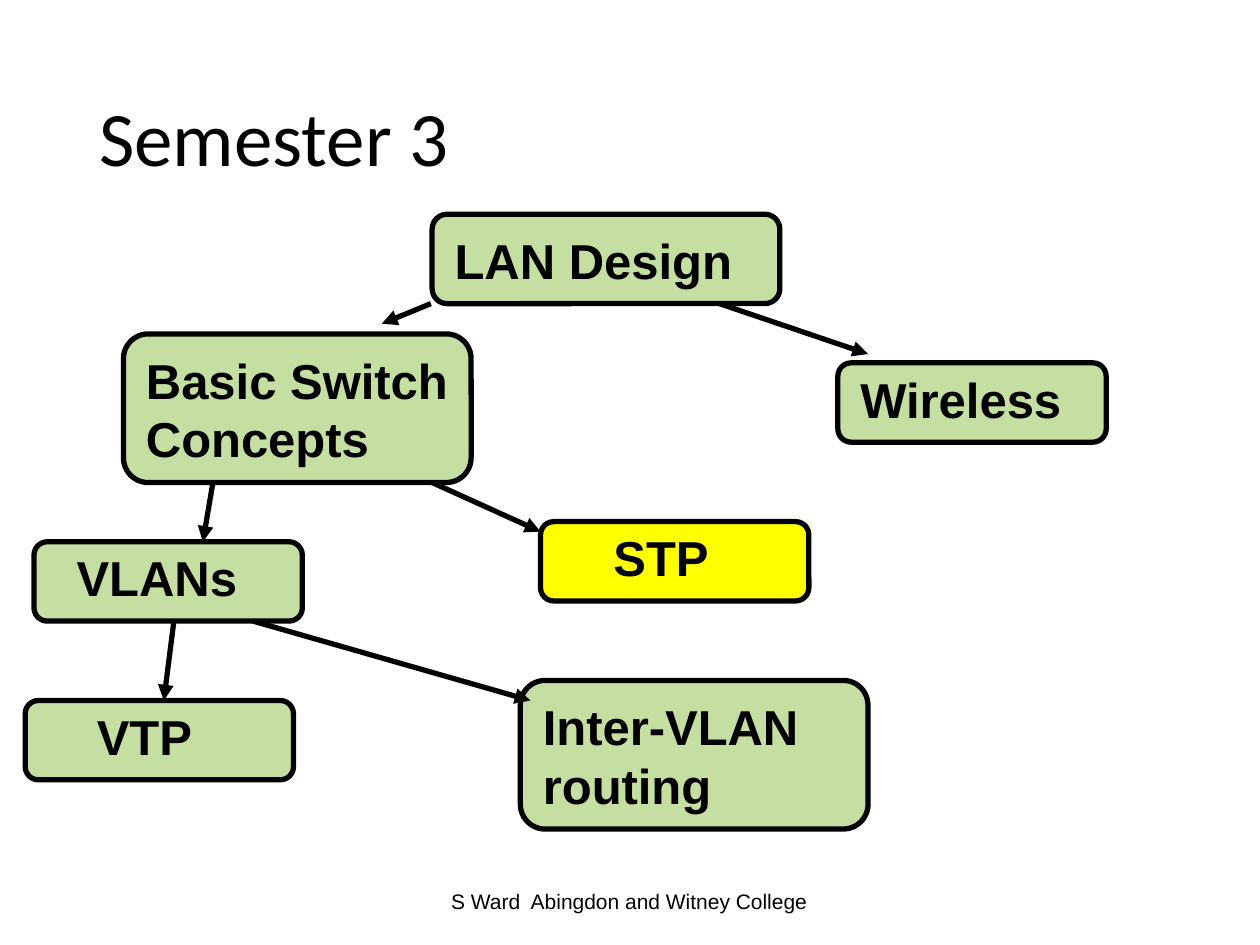
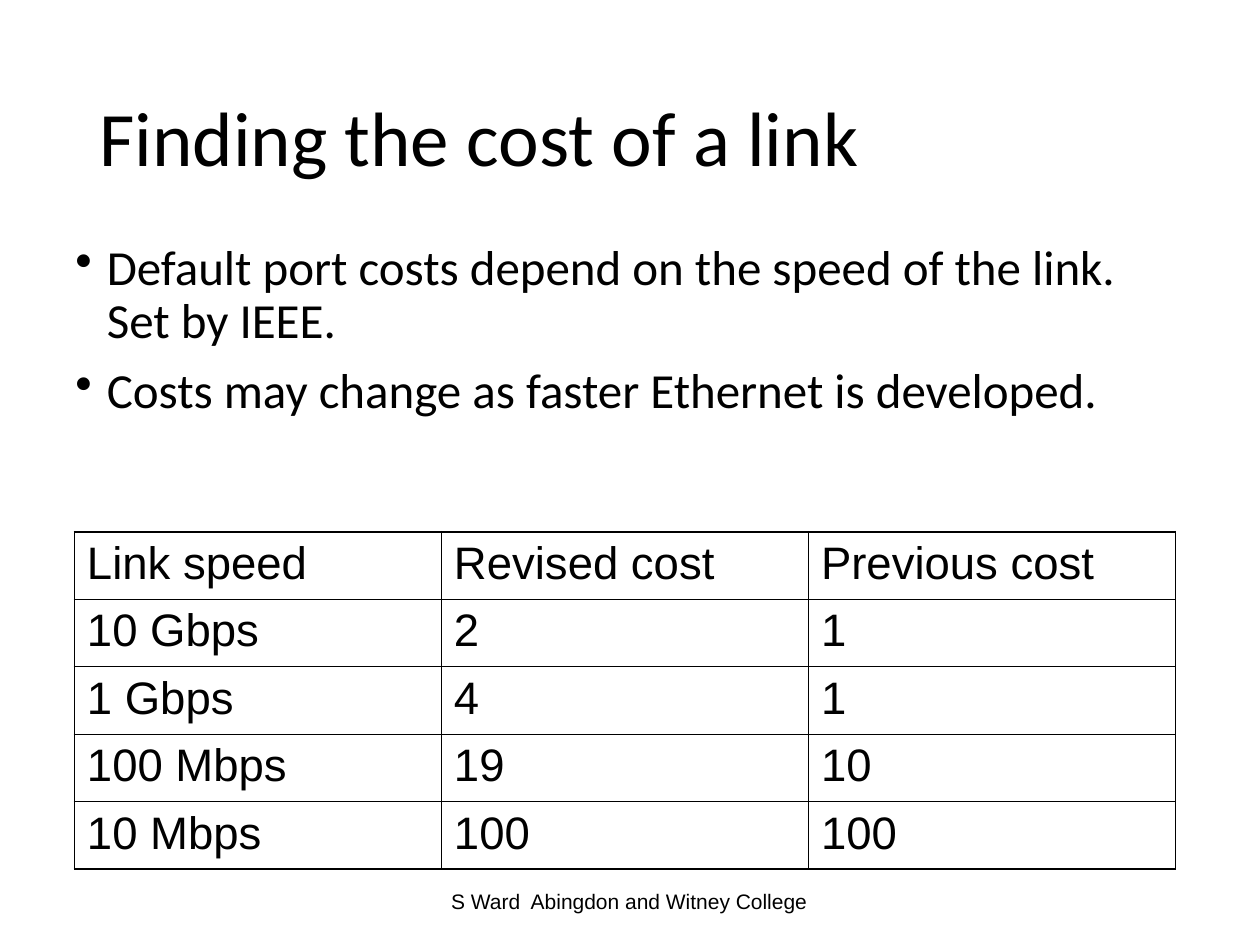
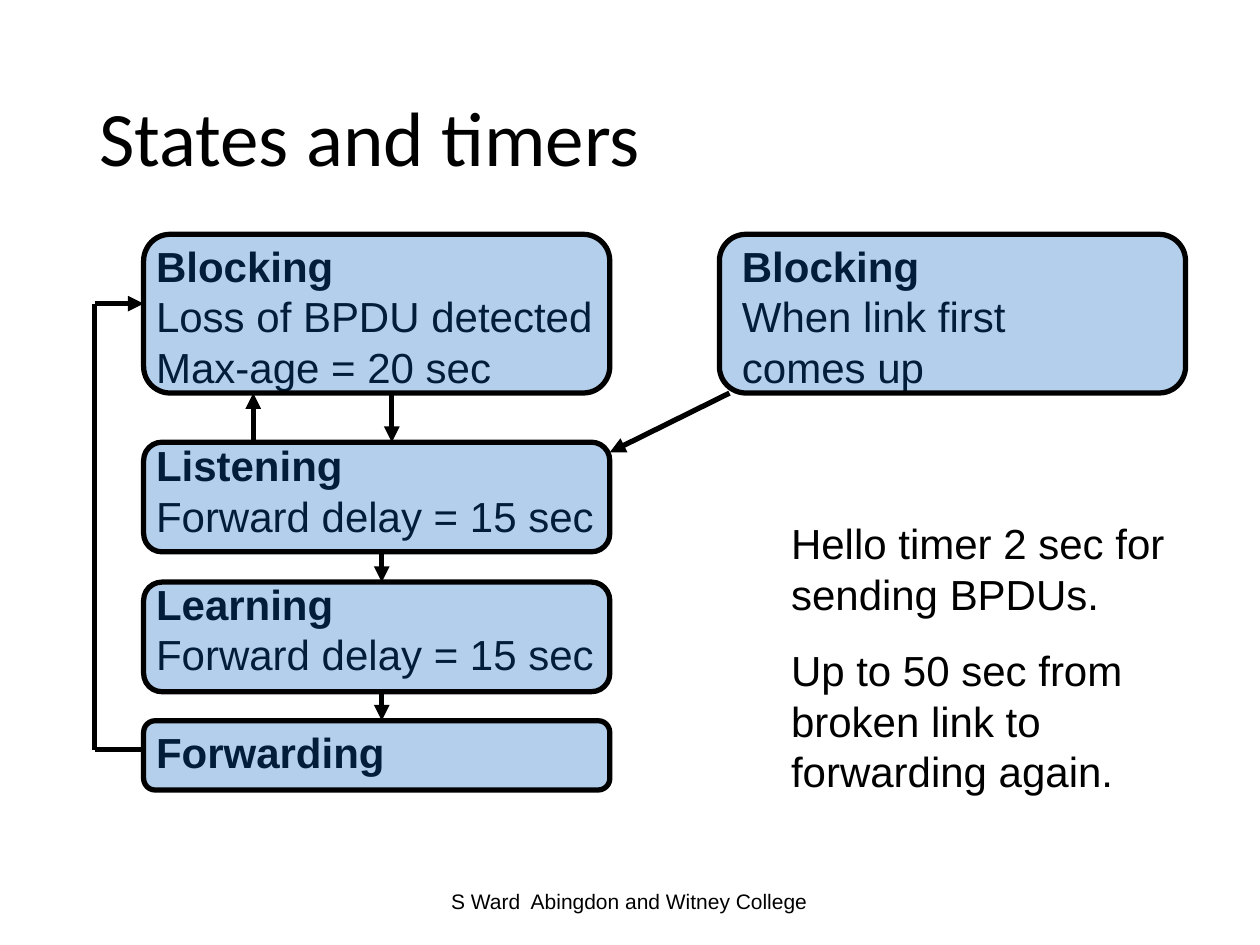
from dataclasses import dataclass

from lxml import etree
from pptx import Presentation
from pptx.dml.color import RGBColor
from pptx.enum.shapes import MSO_CONNECTOR, MSO_SHAPE
from pptx.enum.text import MSO_ANCHOR, PP_ALIGN
from pptx.oxml.ns import qn
from pptx.util import Inches, Pt


@dataclass(frozen=True)
class Theme:
    ink: str = "000000"
    paper: str = "FFFFFF"
    topic: str = "8BC145"
    current: str = "FFFF00"
    state: str = "0563C1"
    head_font: str = "Calibri"
    text_font: str = "Arial"
    title: int = 44
    body: int = 28
    table: int = 26
    state_text: int = 24
    footer: int = 12
    line: float = 3
    outer_border: float = 1.08
    inner_border: float = 0.45


T = Theme()
FOOTER = "S Ward  Abingdon and Witney College"


def sub(parent, tag, **attrs):
    return etree.SubElement(parent, qn(tag), attrs)


def style(p, size, font=T.text_font, bold=False):
    p.font.name, p.font.size, p.font.bold = font, Pt(size), bold
    p.font.color.rgb = RGBColor.from_string(T.ink)


def add_text(s, box, paragraphs, size, font=T.text_font, bold=False,
             anchor=MSO_ANCHOR.TOP, gap=0):
    tf = s.shapes.add_textbox(*map(Inches, box)).text_frame
    tf.word_wrap = True
    tf.vertical_anchor = anchor
    for i, text in enumerate(paragraphs):
        p = tf.add_paragraph() if i else tf.paragraphs[0]
        p.text = text
        if i:
            p.space_before = Pt(gap)
        style(p, size, font, bold)
    return tf


def add_bullets(s, box, items):
    tf = add_text(s, box, items, T.body, T.head_font, gap=10)
    for p in tf.paragraphs:
        p.line_spacing = 0.9
        pPr = p._p.get_or_add_pPr()
        pPr.set("marL", str(Inches(0.25)))
        pPr.set("indent", str(-Inches(0.25)))
        bullet = etree.Element(qn("a:buChar"), char="•")
        pPr.find(qn("a:defRPr")).addprevious(bullet)


def add_round_box(s, box, color, opacity=100):
    sp = s.shapes.add_shape(MSO_SHAPE.ROUNDED_RECTANGLE, *map(Inches, box))
    sp.shadow.inherit = False
    sp.adjustments[0] = 0.167
    sp.fill.solid()
    sp.fill.fore_color.rgb = RGBColor.from_string(color)
    if opacity < 100:
        clr = sp._element.spPr.find(qn("a:solidFill"))[0]
        sub(clr, "a:alpha", val=str(opacity * 1000))
    sp.line.color.rgb = RGBColor.from_string(T.ink)
    sp.line.width = Pt(T.line)


def add_line(s, start, end, arrow=True):
    cx = s.shapes.add_connector(MSO_CONNECTOR.STRAIGHT, *map(Inches, start + end))
    cx.line.color.rgb = RGBColor.from_string(T.ink)
    cx.line.width = Pt(T.line)
    if arrow:
        sub(cx.line._get_or_add_ln(), "a:tailEnd", type="triangle")
    sub(cx._element.spPr, "a:effectLst")


def add_border(cell, side, width):
    ln = sub(cell._tc.get_or_add_tcPr(), f"a:ln{side}", w=str(Pt(width)))
    sub(sub(ln, "a:solidFill"), "a:srgbClr", val=T.ink)


def add_grid(s, box, rows):
    n_rows, n_cols = len(rows), len(rows[0])
    table = s.shapes.add_table(n_rows, n_cols, *map(Inches, box)).table
    table.first_row = table.horz_banding = False
    for i, row in enumerate(rows):
        for j, text in enumerate(row):
            cell = table.cell(i, j)
            cell.text = text
            style(cell.text_frame.paragraphs[0], T.table)
            outer = {"L": j == 0, "R": j == n_cols - 1,
                     "T": i == 0, "B": i == n_rows - 1}
            for side, is_outer in outer.items():
                add_border(cell, side, T.outer_border if is_outer else T.inner_border)
            cell.fill.background()


def add_slide(prs, title):
    s = prs.slides.add_slide(prs.slide_layouts[6])
    s.background.fill.solid()
    s.background.fill.fore_color.rgb = RGBColor.from_string(T.paper)
    tf = add_text(s, (0.69, 0.4, 8.63, 1.45), [title], T.title, T.head_font,
                  anchor=MSO_ANCHOR.MIDDLE)
    tf.paragraphs[0].line_spacing = 0.9
    tf = add_text(s, (3.31, 6.95, 3.37, 0.4), [FOOTER], T.footer,
                  anchor=MSO_ANCHOR.MIDDLE)
    tf.paragraphs[0].alignment = PP_ALIGN.CENTER
    return s


def semester_slide(prs):
    s = add_slide(prs, "Semester 3")
    small, wide, tall = (2.13, 0.63), (2.76, 0.71), (2.76, 1.18)
    # Topic, box corner, box size, text offset
    topics = [
        ("LAN Design", (3.43, 1.7), wide, (0.08, 0.08)),
        ("Basic Switch Concepts", (0.98, 2.65), tall, (0.08, 0.08)),
        ("VLANs", (0.27, 4.3), small, (0.24, 0)),
        ("VTP", (0.2, 5.56), small, (0.47, 0)),
        ("STP", (4.29, 4.14), small, (0.48, 0)),
        ("Inter-VLAN routing", (4.13, 5.4), tall, (0.08, 0.08)),
        ("Wireless", (6.65, 2.88), small, (0.08, 0)),
    ]
    for name, (x, y), size, (dx, dy) in topics:
        if name == "STP":
            add_round_box(s, (x, y) + size, T.current)
        else:
            add_round_box(s, (x, y) + size, T.topic, 50)
        height = 1.04 if size == tall else 0.57
        add_text(s, (x + dx, y + dy, 2.99, height), [name], T.body, bold=True)
    # Arrows between topics
    for start, end in [
        ((5.71, 2.41), (6.89, 2.81)),
        ((3.42, 2.41), (3.03, 2.57)),
        ((1.69, 3.83), (1.61, 4.3)),
        ((1.38, 4.93), (1.3, 5.56)),
        ((2.01, 4.93), (4.21, 5.56)),
        ((3.43, 3.83), (4.29, 4.22)),
    ]:
        add_line(s, start, end)


def link_cost_slide(prs):
    s = add_slide(prs, "Finding the cost of a link")
    add_bullets(s, (0.5, 1.88, 9, 2.34), [
        "Default port costs depend on the speed of the link. Set by IEEE.",
        "Costs may change as faster Ethernet is developed.",
    ])
    add_grid(s, (0.59, 4.22, 8.74, 2.68), [
        ("Link speed", "Revised cost", "Previous cost"),
        ("10 Gbps", "2", "1"),
        ("1 Gbps", "4", "1"),
        ("100 Mbps", "19", "10"),
        ("10 Mbps", "100", "100"),
    ])


def add_state_text(s, box, name, lines):
    tf = add_text(s, box, [""], T.state_text)
    p = tf.paragraphs[0]
    r = p.add_run()
    r.text = name
    r.font.bold = True
    for line in lines:
        p.add_line_break()
        p.add_run().text = line


def states_slide(prs):
    s = add_slide(prs, "States and timers")
    left, right, width = 1.14, 5.71, 3.7
    # State, details, text box, state box top and height
    states = [
        ("Blocking", ["Loss of BPDU detected", "Max-age = 20 sec"],
         (left, 1.86, 3.78, 1.3), (left, 1.86, width, 1.26)),
        ("Blocking", ["When link first comes up"],
         (right + 0.08, 1.86, 3.23, 1.3), (right, 1.86, width, 1.26)),
        ("Listening", ["Forward delay = 15 sec"],
         (left, 3.44, 3.94, 0.9), (left, 3.51, width, 0.87)),
        ("Learning", ["Forward delay = 15 sec"],
         (left, 4.54, 3.78, 0.9), (left, 4.62, width, 0.87)),
        ("Forwarding", [],
         (left, 5.72, 3.23, 0.5), (left, 5.72, width, 0.55)),
    ]
    # The translucent boxes lie over the text and tint it
    for name, lines, text_box, _ in states:
        add_state_text(s, text_box, name, lines)
    for *_, state_box in states:
        add_round_box(s, state_box, T.state, 30)
    # Transitions
    for start, end in [
        ((5.79, 3.12), (4.84, 3.59)),
        ((3.11, 3.12), (3.11, 3.51)),
        ((3.03, 4.38), (3.03, 4.62)),
        ((3.03, 5.48), (3.03, 5.72)),
        ((2.01, 3.51), (2.01, 3.12)),
    ]:
        add_line(s, start, end)
    # Return path from forwarding to blocking
    add_line(s, (0.75, 2.41), (left, 2.41))
    add_line(s, (0.75, 2.41), (0.75, 5.95), arrow=False)
    add_line(s, (0.75, 5.95), (left, 5.95), arrow=False)
    # Timer notes
    add_text(s, (6.18, 4.06, 3.23, 2.31), [
        "Hello timer 2 sec for sending BPDUs.",
        "Up to 50 sec from broken link to forwarding again.",
    ], T.state_text, gap=15)


def main():
    prs = Presentation()
    prs.slide_width, prs.slide_height = Inches(10), Inches(7.5)
    semester_slide(prs)
    link_cost_slide(prs)
    states_slide(prs)
    prs.save("out.pptx")


if __name__ == "__main__":
    main()
